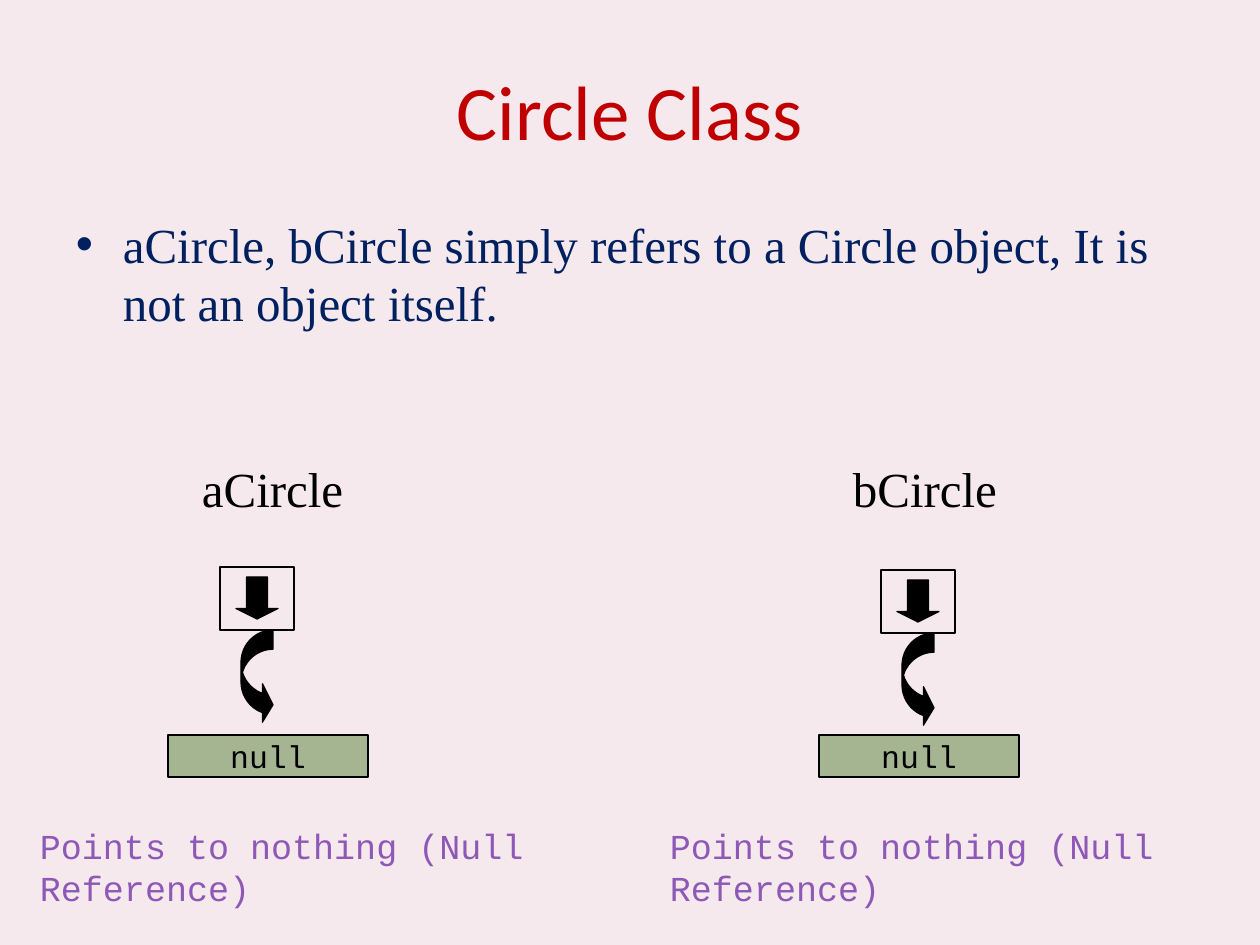
import pptx
import pptx.dml.color
import pptx.enum.shapes
import pptx.enum.text
import pptx.oxml.ns
import pptx.util
from lxml import etree

PX = 914400 // 126
PAPER, BLACK, RED, NAVY = "F5E9ED", "000000", "C00000", "002060"
GREEN, PURPLE = "A5B592", "8E58B6"
SERIF, MONO = "Times New Roman", "Courier New"
SHAPE = pptx.enum.shapes.MSO_SHAPE
ALIGN = pptx.enum.text.PP_ALIGN
MIDDLE = pptx.enum.text.MSO_ANCHOR.MIDDLE


def rgb(value):
    return pptx.dml.color.RGBColor.from_string(value)


def px(*lengths):
    return [pptx.util.Emu(length * PX) for length in lengths]


def write(item, text, font, size, color, align=ALIGN.LEFT, **frame_format):
    """Put one formatted paragraph in a box or shape and return it."""
    frame = item.text_frame
    inset_x, inset_y = px(13, 6)
    settings = {
        "word_wrap": True,
        "margin_left": inset_x, "margin_right": inset_x,
        "margin_top": inset_y, "margin_bottom": inset_y,
        **frame_format,
    }
    for name, value in settings.items():
        setattr(frame, name, value)
    para = frame.paragraphs[0]
    para.alignment = align
    span = para.add_run()
    span.text = text
    for name, value in {"name": font, "size": pptx.util.Pt(size)}.items():
        setattr(span.font, name, value)
    span.font.color.rgb = rgb(color)
    return para


def add_text(page, area, *text_format, **frame_format):
    box = page.shapes.add_textbox(*px(*area))
    return write(box, *text_format, **frame_format)


def add_bullet(para, color, indent):
    props = para._p.get_or_add_pPr()
    hang = px(indent)[0]
    props.set("marL", str(hang))
    props.set("indent", str(-hang))
    qn = pptx.oxml.ns.qn
    bullet_color = etree.SubElement(props, qn("a:buClr"))
    etree.SubElement(bullet_color, qn("a:srgbClr")).set("val", color)
    etree.SubElement(props, qn("a:buFont")).set("typeface", "Arial")
    etree.SubElement(props, qn("a:buChar")).set("char", "•")


def add_shape(page, kind, area, fill, adjustments=()):
    shape = page.shapes.add_shape(kind, *px(*area))
    shape.shadow.inherit = False
    shape.fill.solid()
    shape.fill.fore_color.rgb = rgb(fill)
    shape.line.color.rgb = rgb(BLACK)
    shape.line.width = pptx.util.Pt(0.75)
    for index, value in enumerate(adjustments):
        shape.adjustments[index] = value
    return shape


def add_reference(page, left, top):
    """Draw a variable's cell with its arrow and the curve leading to null."""
    add_shape(page, SHAPE.RECTANGLE, (left, top, 74, 63), PAPER)
    add_shape(page, SHAPE.CURVED_RIGHT_ARROW, (left + 21, top + 63, 32, 94),
              BLACK, (0.6, 1.2, 0.33))
    add_shape(page, SHAPE.DOWN_ARROW, (left + 16, top + 10, 42, 42),
              BLACK, (0.5, 0.25))


def add_null(page, left):
    box = add_shape(page, SHAPE.RECTANGLE, (left, 735, 200, 42), GREEN)
    write(box, "null", MONO, 18, BLACK, ALIGN.CENTER,
          vertical_anchor=MIDDLE, word_wrap=False)


def add_variable(page, name, label_left, cell, null_left, caption_left):
    add_text(page, (label_left, 452, 180, 72), name, SERIF, 28, BLACK)
    add_reference(page, *cell)
    add_null(page, null_left)
    add_text(page, (caption_left, 819, 581, 96),
             "Points to nothing (Null Reference)", MONO, 20, PURPLE)


def main():
    deck = pptx.Presentation()
    deck.slide_width, deck.slide_height = px(1260, 945)
    page = deck.slides.add_slide(deck.slide_layouts[6])
    page.background.fill.solid()
    page.background.fill.fore_color.rgb = rgb(PAPER)

    add_text(page, (63, 31, 1134, 157), "Circle Class", "Calibri", 44, RED,
             ALIGN.CENTER, vertical_anchor=MIDDLE)
    statement = add_text(
        page, (63, 208, 1134, 130),
        "aCircle, bCircle simply refers to a Circle object, "
        "It is not an object itself.", SERIF, 28, NAVY)
    add_bullet(statement, NAVY, 47)

    add_variable(page, "aCircle", 189, (220, 567), 168, 27)
    add_variable(page, "bCircle", 840, (881, 570), 819, 657)
    deck.save("out.pptx")


if __name__ == "__main__":
    main()
